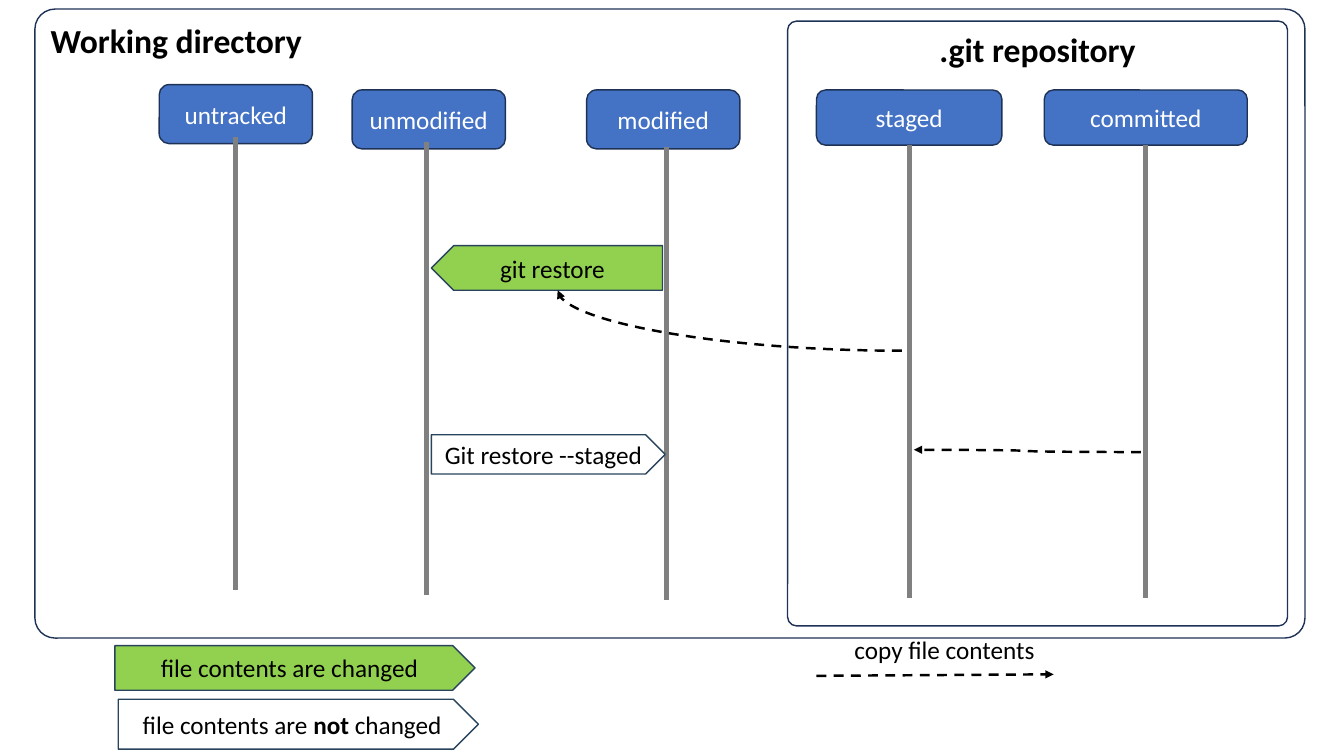
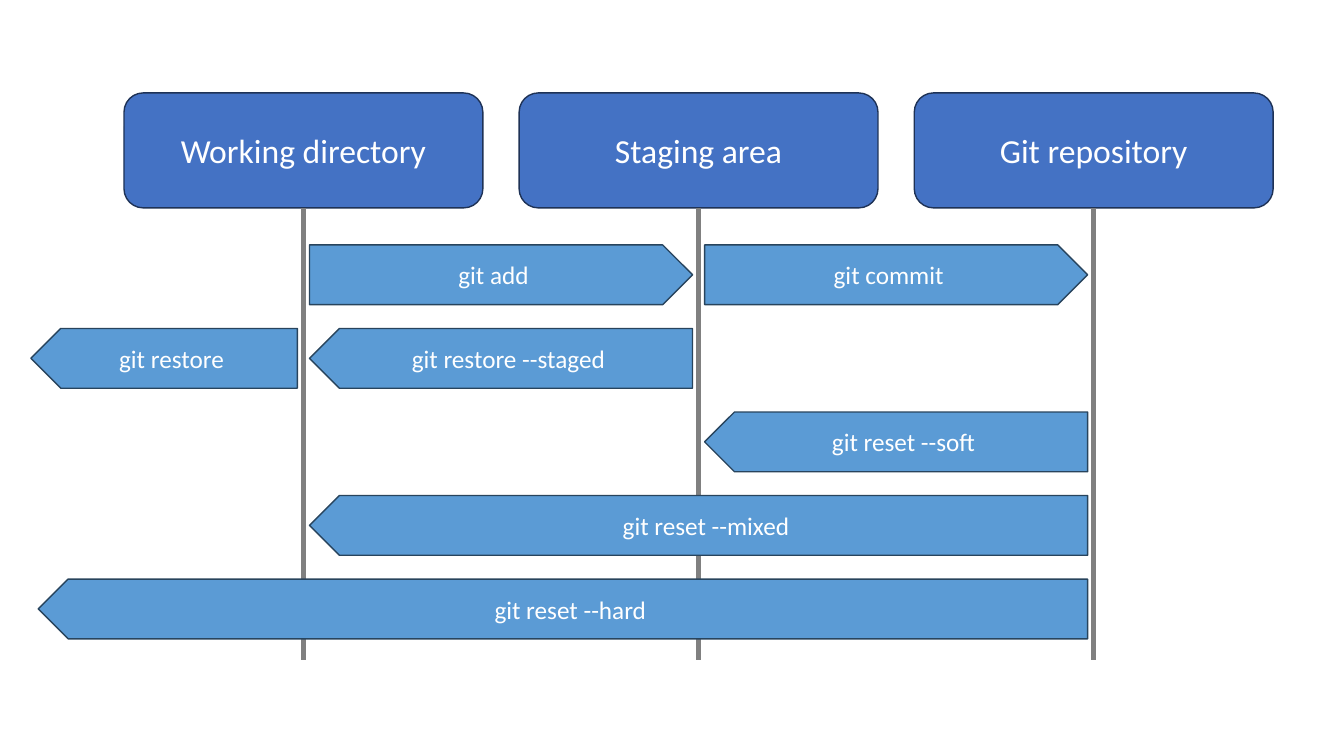
from pptx import Presentation
from pptx.dml.color import RGBColor
from pptx.enum.dml import MSO_LINE
from pptx.enum.shapes import MSO_CONNECTOR, MSO_SHAPE
from pptx.enum.text import MSO_ANCHOR, PP_ALIGN
from pptx.oxml.ns import qn
from pptx.oxml.xmlchemy import OxmlElement
from pptx.util import Inches, Pt

COLORS = {
    "state": "4472C4", "state_edge": "1E3256", "changed": "92D050",
    "command": "5B9BD5", "command_edge": "28445D", "lifeline": "808080",
    "dark": "000000", "light": "FFFFFF",
}
FONT = "Calibri"

deck = Presentation()
deck.slide_width, deck.slide_height = Inches(13.33), Inches(7.5)
COLUMN, ROW = deck.slide_width / 100, deck.slide_height / 100


def add_block(slide, kind, box, runs, fill=None, edge=None, ink="light", size=18,
              align=PP_ALIGN.CENTER, anchor=MSO_ANCHOR.MIDDLE, corner=None, back=False):
    left, top, width, height = box
    place = [int(n) for n in (left * COLUMN, top * ROW, width * COLUMN, height * ROW)]
    if kind is None:
        block = slide.shapes.add_textbox(*place)
    else:
        block = slide.shapes.add_shape(kind, *place)
        block.shadow.inherit = False
        block.line.color.rgb = RGBColor.from_string(COLORS[edge])
        block.line.width = Pt(1)
        if fill:
            block.fill.solid()
            block.fill.fore_color.rgb = RGBColor.from_string(COLORS[fill])
        else:
            block.fill.background()
    if corner is not None:
        block.adjustments[0] = corner
    if back:
        block.element.spPr.find(qn("a:xfrm")).set("flipH", "1")
    frame = block.text_frame
    frame.word_wrap = True
    frame.vertical_anchor = anchor
    paragraph = frame.paragraphs[0]
    paragraph.alignment = align
    for text, bold in runs:
        run = paragraph.add_run()
        run.text = text
        run.font.name, run.font.size, run.font.bold = FONT, Pt(size), bold
        run.font.color.rgb = RGBColor.from_string(COLORS[ink])


def add_line(slide, start, end, color="lifeline", width=3.75,
             kind=MSO_CONNECTOR.STRAIGHT, arrow=False, preset=None):
    ends = [int(n) for x, y in (start, end) for n in (x * COLUMN, y * ROW)]
    link = slide.shapes.add_connector(kind, *ends)
    link.line.color.rgb = RGBColor.from_string(COLORS[color])
    link.line.width = Pt(width)
    properties = link.element.spPr
    if preset:
        properties.find(qn("a:prstGeom")).set("prst", preset)
    if arrow:
        link.line.dash_style = MSO_LINE.DASH
        head = OxmlElement("a:tailEnd")
        head.set("type", "triangle")
        properties.find(qn("a:ln")).append(head)
    properties.append(OxmlElement("a:effectLst"))


blank = deck.slide_layouts[6]

states_slide = deck.slides.add_slide(blank)
areas = [
    ("Working directory", (2.6, 1.2, 94.5, 83.2), PP_ALIGN.LEFT, 0.032),
    (".git repository", (58.6, 2.8, 37.2, 80), PP_ALIGN.CENTER, 0.018),
]
for title, box, align, corner in areas:
    add_block(states_slide, MSO_SHAPE.ROUNDED_RECTANGLE, box, [(title, True)],
              edge="state_edge", ink="dark", size=24, align=align,
              anchor=MSO_ANCHOR.TOP, corner=corner)

LIFELINE = 59.9
states = [
    ("untracked", (11.85, 11.2, 11.4, 7.8), 17.5, 18.1),
    ("unmodified", (26.2, 11.9, 11.4, 7.8), 31.75, 18.8),
    ("modified", (43.65, 11.9, 11.4, 7.8), 49.6, 19.5),
    ("staged", (60.75, 11.9, 13.8, 7.3), 67.65, 19.2),
    ("committed", (77.7, 11.9, 15.1, 7.3), 85.25, 19.2),
]
for state, box, lane, top in states:
    add_block(states_slide, MSO_SHAPE.ROUNDED_RECTANGLE, box, [(state, False)],
              "state", "state_edge")
    add_line(states_slide, (lane, top), (lane, top + LIFELINE))

effects = [
    ((32.1, 32.5, 17.2, 5.9), [("git restore", False)], "changed", True),
    ((32.1, 57.5, 17.4, 5.2), [("Git restore --staged", False)], None, False),
    ((8.55, 85.4, 26.8, 5.9), [("file contents are changed", False)], "changed", False),
    ((8.8, 92.5, 26.8, 6.6),
     [("file contents are ", False), ("not ", True), ("changed", False)], None, False),
]
for box, runs, fill, back in effects:
    add_block(states_slide, MSO_SHAPE.PENTAGON, box, runs, fill, "command_edge",
              "dark", back=back)

add_block(states_slide, None, (62.25, 83.3, 16.05, 5.3), [("copy file contents", False)],
          ink="dark", anchor=MSO_ANCHOR.TOP)
copies = [
    ((67.1, 46.4), (41.5, 38.4), MSO_CONNECTOR.CURVE, "curvedConnector2"),
    ((84.9, 59.8), (68, 59.5), MSO_CONNECTOR.CURVE, None),
    ((60.75, 89.4), (78.4, 89.2), MSO_CONNECTOR.STRAIGHT, None),
]
for start, end, kind, preset in copies:
    add_line(states_slide, start, end, "dark", 1.75, kind, True, preset)

commands_slide = deck.slides.add_slide(blank)
PLACE_WIDTH, PLACE_STEP, GAP = 26.7, 29.4, 0.45
lanes = []
for index, place_name in enumerate(["Working directory", "Staging area", "Git repository"]):
    left = 9.23 + index * PLACE_STEP
    lane = left + PLACE_WIDTH / 2
    lanes.append(lane)
    add_block(commands_slide, MSO_SHAPE.ROUNDED_RECTANGLE, (left, 12.3, PLACE_WIDTH, 15.2),
              [(place_name, False)], "state", "state_edge", size=24)
    add_line(commands_slide, (lane, 27.5), (lane, 87.3))

working, staging, repository = lanes
commands = [
    ("git add", 0, working + GAP, staging, False),
    ("git commit", 0, staging + GAP, repository, False),
    ("git restore --staged", 1, working + GAP, staging, True),
    ("git restore", 1, 2.3, working, True),
    ("git reset --soft", 2, staging + GAP, repository, True),
    ("git reset --mixed", 3, working + GAP, repository, True),
    ("git reset --hard", 4, 2.85, repository, True),
]
for command, row, left, lane, back in commands:
    add_block(commands_slide, MSO_SHAPE.PENTAGON,
              (left, 32.4 + row * 11.05, lane - GAP - left, 7.9),
              [(command, False)], "command", "command_edge", back=back)

deck.save("out.pptx")
